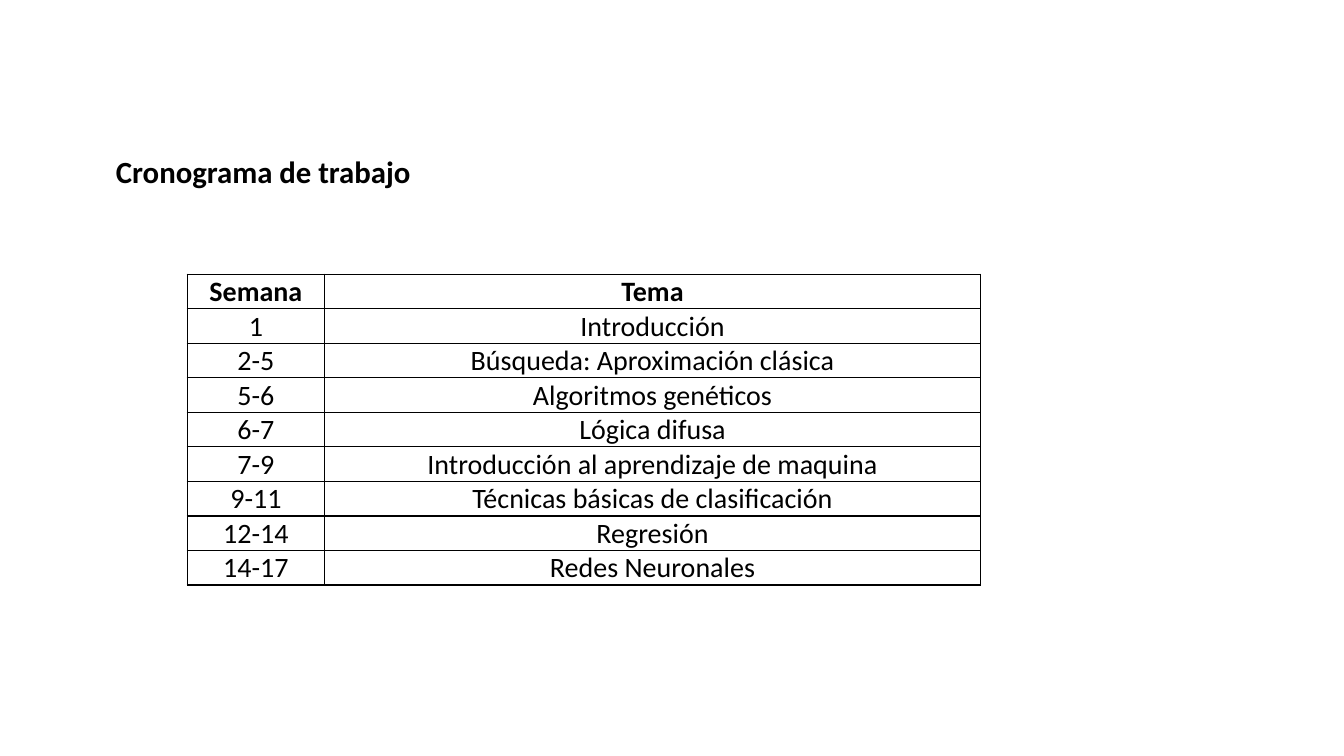
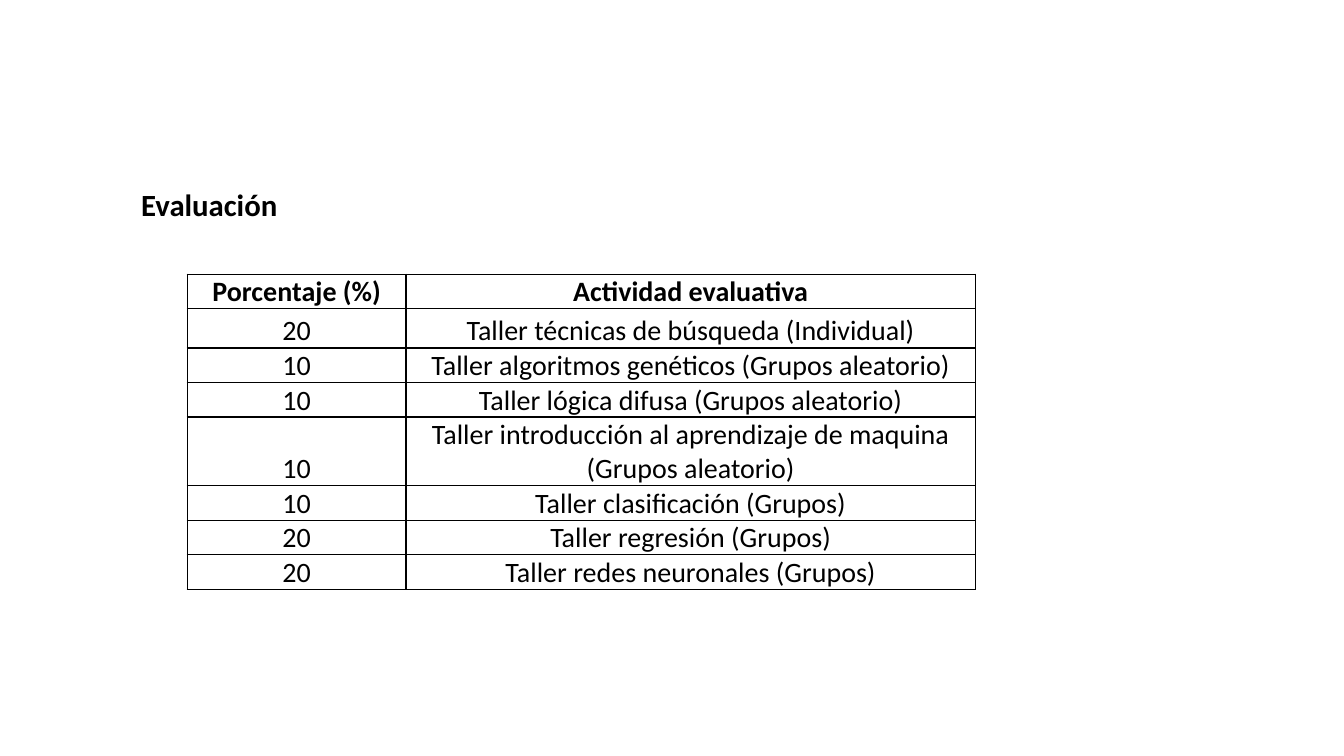
from lxml.etree import SubElement
from pptx import Presentation
from pptx.dml.color import RGBColor
from pptx.enum.text import MSO_ANCHOR as Anchor, MSO_AUTO_SIZE as AutoSize, PP_ALIGN as Align
from pptx.oxml.ns import qn
from pptx.util import Cm, Pt

COLORS = {"text": "000000", "border": "000000"}


class Deck:
    font = "Calibri"
    title_size = Pt(22)
    cell_size = Pt(20)
    border_width = Pt(1)
    inset = Cm(0.02)
    row_height = 0.87
    table_left, table_top = 4.72, 6.91

    def __init__(self):
        self.prs = Presentation()
        self.prs.slide_width, self.prs.slide_height = Cm(33.87), Cm(19.05)
        self.s = None

    def set_text(self, tf, text, size, bold):
        p = tf.paragraphs[0]
        p.text = text
        p.alignment = Align.CENTER
        p.font.name, p.font.size, p.font.bold = self.font, size, bold
        p.font.color.rgb = RGBColor.from_string(COLORS["text"])

    def slide(self, title, left, top, width):
        self.s = self.prs.slides.add_slide(self.prs.slide_layouts[5])
        sp = self.s.shapes.title
        sp.left, sp.top, sp.width, sp.height = Cm(left), Cm(top), Cm(width), Cm(1.19)
        tf = sp.text_frame
        tf.word_wrap = False
        tf.auto_size = AutoSize.SHAPE_TO_FIT_TEXT
        tf.vertical_anchor = Anchor.TOP
        self.set_text(tf, title, self.title_size, True)

    def border(self, cell):
        tcPr = cell._tc.get_or_add_tcPr()
        for side in ("lnL", "lnR", "lnT", "lnB"):
            ln = SubElement(tcPr, qn(f"a:{side}"), w=str(int(self.border_width)))
            fill = SubElement(ln, qn("a:solidFill"))
            SubElement(fill, qn("a:srgbClr"), val=COLORS["border"])

    def table(self, rows, widths, heights=None):
        heights = heights or {}
        sizes = [heights.get(i, self.row_height) for i in range(len(rows))]
        table = self.s.shapes.add_table(
            len(rows), len(widths), Cm(self.table_left), Cm(self.table_top),
            Cm(sum(widths)), Cm(sum(sizes))).table
        table.first_row = table.horz_banding = False
        for col, width in zip(table.columns, widths):
            col.width = Cm(width)
        for i, (row, height, texts) in enumerate(zip(table.rows, sizes, rows)):
            row.height = Cm(height)
            for cell, text in zip(row.cells, texts):
                self.border(cell)
                cell.fill.background()
                cell.vertical_anchor = Anchor.BOTTOM
                cell.margin_left = cell.margin_right = cell.margin_top = self.inset
                cell.margin_bottom = 0
                self.set_text(cell.text_frame, text, self.cell_size, i == 0)


def main():
    deck = Deck()

    deck.slide("Cronograma de trabajo", 2.62, 3.73, 8.03)
    deck.table([
        ("Semana", "Tema"),
        ("1", "Introducción"),
        ("2-5", "Búsqueda: Aproximación clásica"),
        ("5-6", "Algoritmos genéticos"),
        ("6-7", "Lógica difusa"),
        ("7-9", "Introducción al aprendizaje de maquina"),
        ("9-11", "Técnicas básicas de clasificación"),
        ("12-14", "Regresión"),
        ("14-17", "Redes Neuronales"),
    ], [3.46, 16.53])

    deck.slide("Evaluación", 3.28, 4.55, 3.99)
    deck.table([
        ("Porcentaje (%)", "Actividad evaluativa"),
        ("20", "Taller técnicas de búsqueda (Individual)"),
        ("10", "Taller algoritmos genéticos (Grupos aleatorio)"),
        ("10", "Taller lógica difusa (Grupos aleatorio)"),
        ("10", "Taller introducción al aprendizaje de maquina (Grupos aleatorio)"),
        ("10", "Taller clasificación (Grupos)"),
        ("20", "Taller regresión (Grupos)"),
        ("20", "Taller redes neuronales (Grupos)"),
    ], [5.51, 14.35], {1: 0.99, 4: 1.73})

    deck.prs.save("out.pptx")


if __name__ == "__main__":
    main()
